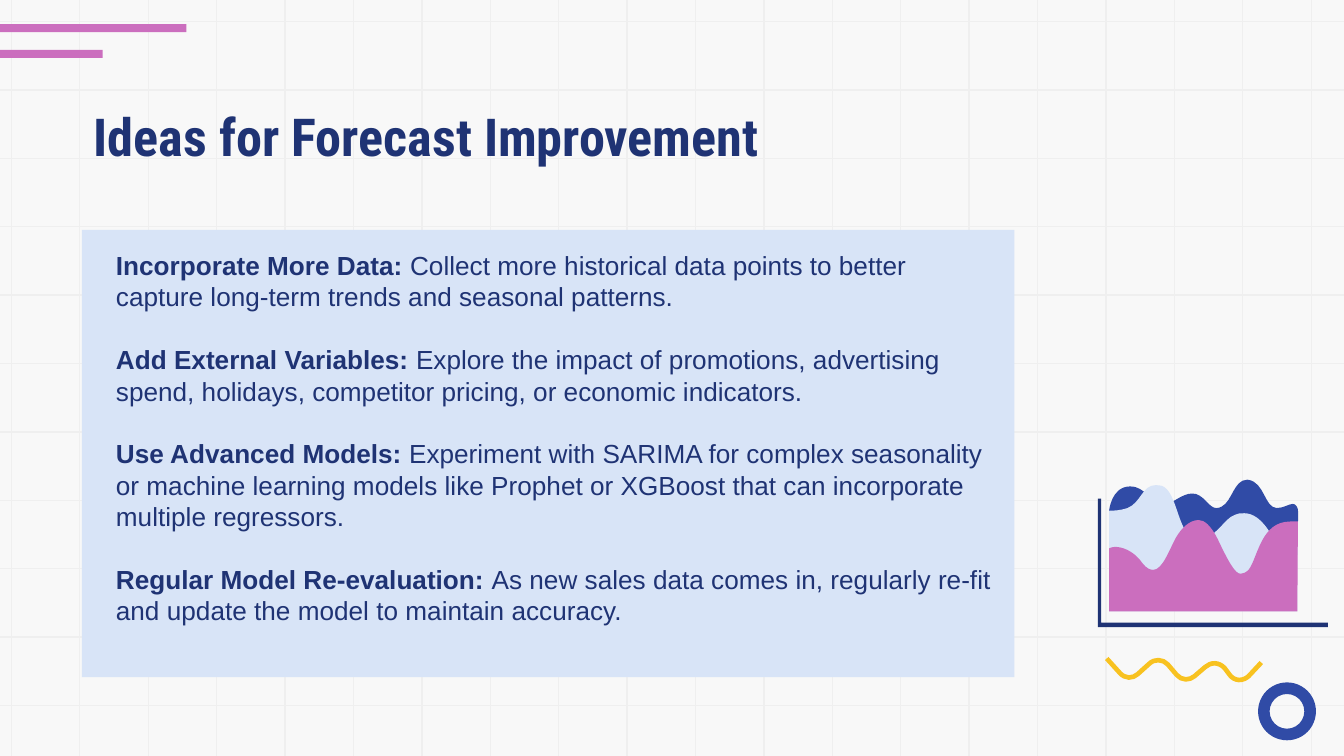
from dataclasses import dataclass

from lxml import etree
from pptx import Presentation
from pptx import util as u
from pptx.dml.color import RGBColor
from pptx.enum import shapes, text
from pptx.oxml import ns

COLORS = {
    "paper": "F8F8F8",
    "grid": "EFEFEF",
    "navy": "1F3374",
    "blue": "304BA6",
    "pale": "D8E4F7",
    "pink": "CB6EBE",
    "yellow": "F8C220",
}
WIDTH, HEIGHT = 720, 405
GRID_STEP = 36.65
GRID_BLEED = 13
LINE_PITCH = 16.8


@dataclass
class Idea:
    heading: str
    detail: str


@dataclass
class Outline:
    """Start point, then segments: (x, y) is a line, six numbers a cubic curve."""
    color: str
    start: tuple
    segments: list


IDEAS = [
    Idea("Incorporate More Data: ",
         "Collect more historical data points to better capture long-term trends "
         "and seasonal patterns."),
    Idea("Add External Variables: ",
         "Explore the impact of promotions, advertising spend, holidays, "
         "competitor pricing, or economic indicators."),
    Idea("Use Advanced Models: ",
         "Experiment with SARIMA for complex seasonality or machine learning models "
         "like Prophet or XGBoost that can incorporate multiple regressors."),
    Idea("Regular Model Re-evaluation: ",
         "As new sales data comes in, regularly re-fit and update the model "
         "to maintain accuracy."),
]

AXES = Outline("navy", (588.2, 267.1), [
    (588.2, 336), (711.4, 336), (711.4, 333.6), (590, 333.6), (590, 267.1)])
BACK_AREA = Outline("blue", (668.2, 257), [
    (661, 257, 660.2, 268.6, 654.5, 271.4),
    (653.8, 271.9, 652.7, 272.2, 651.6, 272.2),
    (648, 272.2, 645.8, 266.4, 640.8, 264.7),
    (640.1, 264.5, 639.4, 264.4, 638.6, 264.4),
    (632.9, 264.4, 627.1, 270.9, 622.1, 270.9),
    (617.8, 270.9, 614.9, 262.8, 608.4, 261),
    (607.5, 260.8, 606.6, 260.6, 605.5, 260.6),
    (595.4, 260.6, 594.2, 273.6, 594.2, 273.6),
    (634.3, 306.7), (694.1, 323.3), (695.5, 275),
    (695.5, 271.4, 694.1, 270, 692.6, 270),
    (690.5, 270, 687.6, 272.2, 684, 272.2),
    (677.5, 272, 677.5, 258.5, 668.9, 257.1)])
MIDDLE_AREA = Outline("pale", (619.2, 259.9), [
    (612, 259.9, 611.3, 269.3, 604.1, 272.2),
    (599.8, 273.6, 596.9, 273.6, 594.2, 273.6),
    (594.2, 327.6), (695, 327.6), (695, 288),
    (693.4, 288.7, 690.5, 292.3, 687.6, 292.3),
    (686.2, 292.3, 683.3, 290.9, 681.1, 286.6),
    (676.1, 277.9, 671, 275, 666.7, 275),
    (664.6, 275, 663.1, 275, 661.7, 275.8),
    (655.2, 277.9, 652.3, 288.7, 641.5, 288.7),
    (630.7, 288.7, 631.4, 262.8, 622.1, 260.2)])
FRONT_AREA = Outline("pink", (642.2, 278.6), [
    (637.2, 278.6, 632.9, 283, 630, 288),
    (626.4, 294.5, 622.8, 305.3, 617.8, 305.3),
    (616.3, 305.3, 614.2, 304.6, 612, 301.7),
    (607, 294.5, 600.5, 293, 597.6, 293),
    (595.4, 293, 594.2, 293.8, 594.2, 293.8),
    (594.2, 327.6), (695, 327.6), (695.3, 279.4), (691.2, 279.4),
    (675.4, 279.4, 673.9, 298.8, 668.9, 305.3),
    (667.4, 306.7, 666, 307.4, 664.6, 307.4),
    (661.7, 307.4, 658.1, 301, 652.3, 288.7),
    (648.7, 281.5, 645.1, 278.6, 642.2, 278.6)])
SQUIGGLE = Outline("yellow", (592.9, 352.8), [
    (599.8, 360.4),
    (601.2, 362, 602.9, 363, 604.8, 363),
    (606.5, 363, 608.2, 362.4, 609.5, 361.2),
    (615.6, 355.7),
    (617, 354.3, 618.9, 353.6, 620.6, 353.7),
    (622.5, 353.7, 624.3, 354.6, 625.6, 356),
    (630.4, 361.6),
    (631.7, 363, 633.3, 364, 635.2, 364),
    (637, 364, 638.6, 363.4, 639.9, 362.3),
    (645.6, 357.4),
    (647, 356.2, 648.8, 355.3, 650.9, 355.4),
    (652.9, 355.5, 654.8, 356.5, 656.1, 358),
    (658.8, 361.6),
    (659.8, 363, 661.6, 364.2, 663.7, 364.3),
    (665.7, 364.3, 667.5, 363.6, 669, 362.2),
    (675.7, 355)])


def rgb(name: str) -> RGBColor:
    return RGBColor.from_string(COLORS[name])


def paint(shape, color: str) -> None:
    shape.shadow.inherit = False
    shape.fill.solid()
    shape.fill.fore_color.rgb = rgb(color)
    shape.line.fill.background()


def add_filled(slide, kind, color: str, left: float, top: float, width: float, height: float):
    shape = slide.shapes.add_shape(kind, u.Pt(left), u.Pt(top), u.Pt(width), u.Pt(height))
    paint(shape, color)
    return shape


def add_grid_line(slide, x1: float, y1: float, x2: float, y2: float) -> None:
    rule = slide.shapes.add_connector(
        shapes.MSO_CONNECTOR.STRAIGHT, u.Pt(x1), u.Pt(y1), u.Pt(x2), u.Pt(y2))
    rule.line.color.rgb = rgb("grid")
    rule.line.width = u.Pt(0.75)
    etree.SubElement(rule._element.spPr, ns.qn("a:effectLst"))


def add_outline(slide, outline: Outline, closed: bool = True):
    """Build the outline from its end points, then bend the curved segments."""
    builder = slide.shapes.build_freeform(*map(u.Pt, outline.start))
    ends = [(u.Pt(segment[-2]), u.Pt(segment[-1])) for segment in outline.segments]
    builder.add_line_segments(ends, close=closed)
    shape = builder.convert_to_shape()
    edges = list(shape._element.iter(ns.qn("a:lnTo")))
    for edge, segment in zip(edges, outline.segments):
        if len(segment) == 6:
            edge.tag = ns.qn("a:cubicBezTo")
            for index, (x, y) in enumerate(zip(segment[:4:2], segment[1:4:2])):
                control = etree.Element(ns.qn("a:pt"), x=str(u.Pt(x) - shape.left),
                                        y=str(u.Pt(y) - shape.top))
                edge.insert(index, control)
    paint(shape, outline.color)
    return shape


def style(run, face: str, size: float, bold: bool) -> None:
    run.font.name = face
    run.font.size = u.Pt(size)
    run.font.bold = bold
    run.font.color.rgb = rgb("navy")


def add_title(slide, wording: str) -> None:
    title = slide.shapes.add_textbox(u.Pt(43.2), u.Pt(48.6), u.Pt(649.4), u.Pt(45.4)).text_frame
    title.word_wrap = True
    title.margin_left = title.margin_right = title.margin_top = title.margin_bottom = u.Pt(7.2)
    title.text = wording
    style(title.paragraphs[0].runs[0], "Roboto Condensed", 28, True)


def add_ideas(slide, ideas: list) -> None:
    panel = add_filled(slide, shapes.MSO_SHAPE.RECTANGLE, "pale", 43.9, 123.1, 499.5, 239.6)
    body = panel.text_frame
    body.word_wrap = True
    body.vertical_anchor = text.MSO_ANCHOR.TOP
    body.margin_left, body.margin_right = u.Pt(18.2), u.Pt(10)
    body.margin_top = u.Pt(10.5)
    for index, idea in enumerate(ideas):
        paragraph = body.add_paragraph() if index else body.paragraphs[0]
        paragraph.alignment = text.PP_ALIGN.LEFT
        paragraph.line_spacing = paragraph.space_after = u.Pt(LINE_PITCH)
        for wording, bold in ((idea.heading, True), (idea.detail, False)):
            run = paragraph.add_run()
            run.text = wording
            style(run, "Arial", 14, bold)


def main() -> None:
    deck = Presentation()
    deck.slide_width, deck.slide_height = u.Pt(WIDTH), u.Pt(HEIGHT)
    slide = deck.slides.add_slide(deck.slide_layouts[6])
    slide.background.fill.solid()
    slide.background.fill.fore_color.rgb = rgb("paper")

    for row in range(11):
        y = 11.5 + row * GRID_STEP
        add_grid_line(slide, WIDTH, y, 0, y)
    for column in range(20):
        x = 6.1 + column * GRID_STEP
        add_grid_line(slide, x, -GRID_BLEED, x, HEIGHT + GRID_BLEED)

    for top, width in ((12.9, 99.8), (26.8, 55)):
        add_filled(slide, shapes.MSO_SHAPE.RECTANGLE, "pink", 0, top, width, 4.3)
    ring = add_filled(slide, shapes.MSO_SHAPE.DONUT, "blue", 674, 365.6, 31, 31)
    ring.adjustments[0] = 0.2
    squiggle = add_outline(slide, SQUIGGLE, closed=False)
    squiggle.fill.background()
    squiggle.line.color.rgb = rgb(SQUIGGLE.color)
    squiggle.line.width = u.Pt(2.5)

    add_ideas(slide, IDEAS)
    add_title(slide, "Ideas for Forecast Improvement")
    for part in (AXES, BACK_AREA, MIDDLE_AREA, FRONT_AREA):
        add_outline(slide, part)
    deck.save("out.pptx")


if __name__ == "__main__":
    main()
